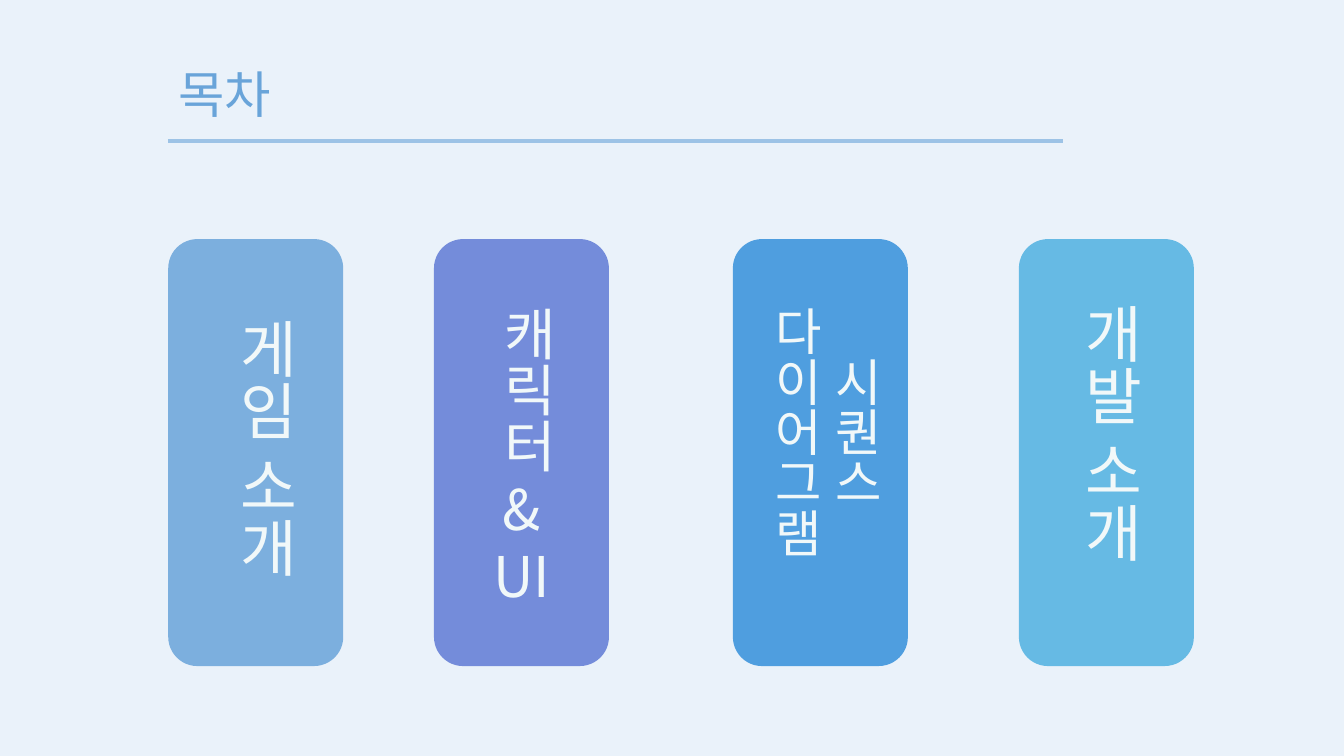
from dataclasses import dataclass

from lxml.etree import SubElement
from pptx import Presentation
from pptx.dml.color import RGBColor
from pptx.enum.shapes import MSO_CONNECTOR, MSO_SHAPE
from pptx.enum.text import MSO_ANCHOR, MSO_AUTO_SIZE, PP_ALIGN
from pptx.oxml.ns import qn
from pptx.util import Pt


@dataclass(frozen=True)
class Theme:
    font: str = "Noto Sans CJK KR"
    background: str = "EAF2FA"
    heading: str = "69A4D9"
    rule: str = "9DC3E6"
    label: str = "F1F8F9"
    game: str = "7CAFDE"
    character: str = "748CDA"
    sequence: str = "4F9EDF"
    development: str = "66BAE4"
    small: int = 36
    medium: int = 40
    large: int = 44


class ContentsSlide:
    def __init__(self, deck, theme):
        self.theme = theme
        self.slide = deck.slides.add_slide(deck.slide_layouts[5])
        fill = self.slide.background.fill
        fill.solid()
        fill.fore_color.rgb = RGBColor.from_string(theme.background)

    def set_text(self, frame, lines, size, color, align, wrap):
        frame.text = "\n".join(lines)
        frame.word_wrap = wrap
        frame.auto_size = MSO_AUTO_SIZE.SHAPE_TO_FIT_TEXT
        frame.vertical_anchor = MSO_ANCHOR.TOP
        for paragraph in frame.paragraphs:
            paragraph.alignment = align
            font = paragraph.font
            font.size = Pt(size)
            font.color.rgb = RGBColor.from_string(color)
            font.name = self.theme.font
            defaults = paragraph._p.pPr.find(qn("a:defRPr"))
            SubElement(defaults, qn("a:ea"), typeface=self.theme.font)

    def title(self, text, left, top, width, height):
        heading = self.slide.shapes.title
        heading.left, heading.top = Pt(left), Pt(top)
        heading.width, heading.height = Pt(width), Pt(height)
        self.set_text(heading.text_frame, [text], self.theme.small,
                      self.theme.heading, PP_ALIGN.LEFT, False)

    def rule(self, left, right, y):
        line = self.slide.shapes.add_connector(
            MSO_CONNECTOR.STRAIGHT, Pt(left), Pt(y), Pt(right), Pt(y))
        line.line.color.rgb = RGBColor.from_string(self.theme.rule)
        line.line.width = Pt(3)
        SubElement(line._element.spPr, qn("a:effectLst"))

    def card(self, left, top, width, height, color):
        card = self.slide.shapes.add_shape(
            MSO_SHAPE.ROUNDED_RECTANGLE, Pt(left), Pt(top), Pt(width), Pt(height))
        card.shadow.inherit = False
        card.fill.solid()
        card.fill.fore_color.rgb = RGBColor.from_string(color)
        card.line.fill.background()

    def label(self, lines, box, size, align=PP_ALIGN.CENTER, vertical=True):
        frame = self.slide.shapes.add_textbox(*map(Pt, box)).text_frame
        self.set_text(frame, lines, size, self.theme.label, align, vertical)
        if vertical:
            frame._txBody.bodyPr.set("vert", "eaVert")


def main():
    theme = Theme()
    deck = Presentation()
    deck.slide_width, deck.slide_height = Pt(960), Pt(540)
    contents = ContentsSlide(deck, theme)
    contents.title("목차", 120.2, 41.8, 84.2, 51.1)
    contents.rule(120, 759, 100.8)

    card_top, card_width, card_height = 170.8, 125, 305
    sections = [
        (120.2, theme.game, ["게임 소개"], (152.6, 220.3, 67.7, 219.6),
         theme.large, PP_ALIGN.LEFT),
        (310, theme.character, ["캐릭터"], (341.3, 211.7, 63.4, 258.5),
         theme.medium, PP_ALIGN.LEFT),
        (523.5, theme.sequence, ["시퀀스", "다이어그램"], (535.7, 211.7, 101.5, 213.8),
         theme.small, PP_ALIGN.CENTER),
        (727.8, theme.development, ["개발 소개"], (756, 209.5, 67.7, 219.6),
         theme.large, PP_ALIGN.CENTER),
    ]
    for left, color, lines, box, size, align in sections:
        contents.card(left, card_top, card_width, card_height, color)
        contents.label(lines, box, size, align)
    contents.label(["&", "UI"], (339.1, 335.5, 67, 104.4), theme.medium,
                   vertical=False)

    deck.save("out.pptx")


if __name__ == "__main__":
    main()
